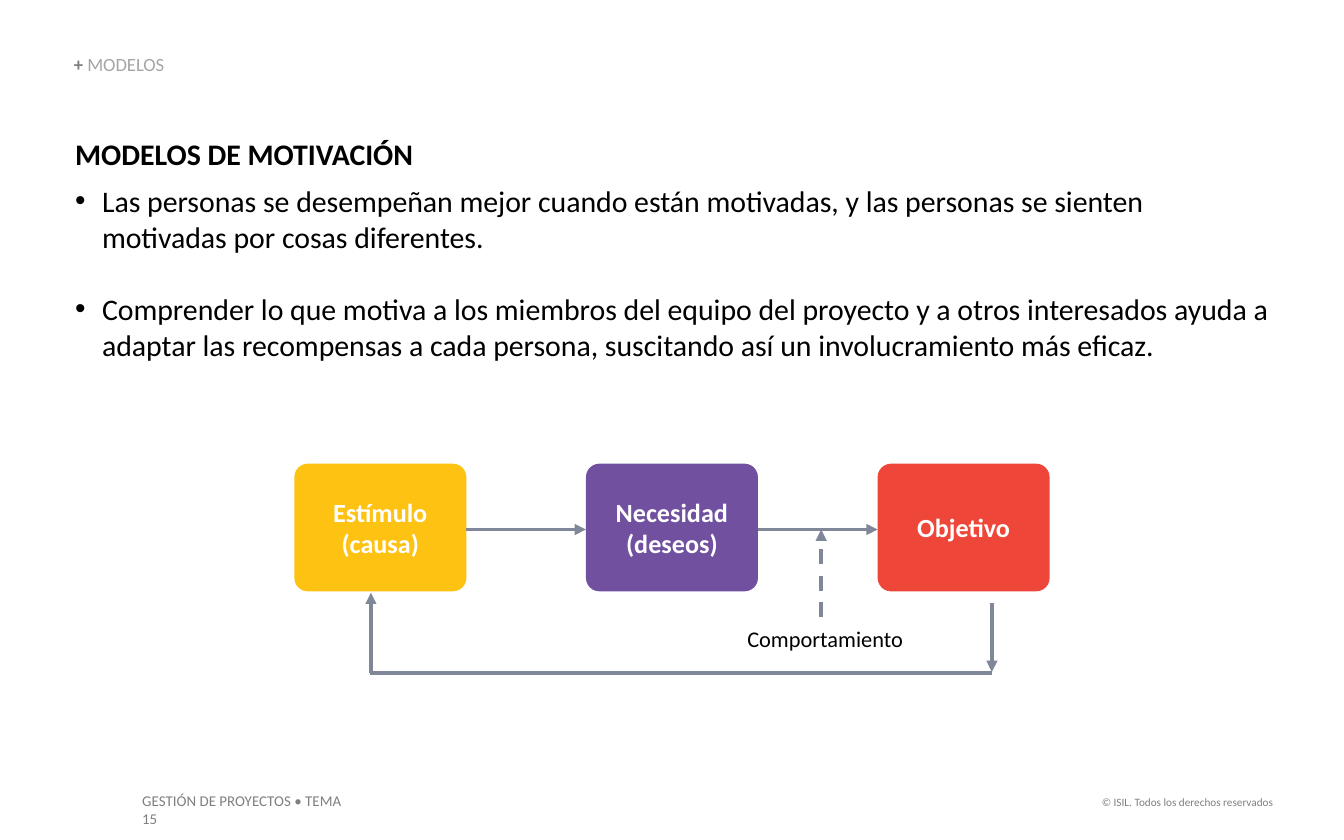
from dataclasses import dataclass

from lxml.etree import SubElement
from pptx import Presentation
from pptx.dml.color import RGBColor
from pptx.enum.dml import MSO_LINE
from pptx.enum.shapes import MSO_CONNECTOR, MSO_SHAPE
from pptx.enum.text import MSO_ANCHOR, PP_ALIGN
from pptx.oxml.ns import qn
from pptx.util import Inches, Pt


@dataclass(frozen=True)
class Theme:
    font: str = "Calibri"
    black: str = "000000"
    white: str = "FFFFFF"
    gray: str = "7F7F7F"
    light_gray: str = "A5A5A5"
    arrow: str = "808799"
    yellow: str = "FDC212"
    purple: str = "7150A0"
    red: str = "EE4639"
    body: float = 16
    node: float = 14
    label: float = 12
    section: float = 10
    footer: float = 8
    copyright: float = 6
    line: float = 2


class SlideBuilder:
    def __init__(self, slide, theme):
        self.shapes = slide.shapes
        self.theme = theme

    def span(self, para, text, size, color, bold=False):
        span = para.add_run()
        span.text = text
        span.font.name = self.theme.font
        span.font.size = Pt(size)
        span.font.bold = bold
        span.font.color.rgb = RGBColor.from_string(color)

    def frame(self, box, margins=(0, 0), anchor=MSO_ANCHOR.TOP):
        frame = box.text_frame
        frame.word_wrap = True
        frame.vertical_anchor = anchor
        frame.margin_left = frame.margin_right = Inches(margins[0])
        frame.margin_top = frame.margin_bottom = Inches(margins[1])
        return frame

    def text(self, left, top, width, height, spans, align=PP_ALIGN.LEFT,
             margins=(0, 0), anchor=MSO_ANCHOR.TOP):
        """Add a text box whose first paragraph holds the given spans."""
        box = self.shapes.add_textbox(
            Inches(left), Inches(top), Inches(width), Inches(height))
        frame = self.frame(box, margins, anchor)
        para = frame.paragraphs[0]
        para.alignment = align
        for span in spans:
            self.span(para, *span)
        return frame

    def bullet(self, frame, text, space_before):
        para = frame.add_paragraph()
        para.space_before = Pt(space_before)
        properties = para._p.get_or_add_pPr()
        properties.set("marL", str(Inches(0.2)))
        properties.set("indent", str(Inches(-0.2)))
        SubElement(properties, qn("a:buFont"), typeface="Arial")
        SubElement(properties, qn("a:buChar"), char="•")
        self.span(para, text, self.theme.body, self.theme.black)

    def node(self, left, top, width, height, lines, color):
        box = self.shapes.add_shape(
            MSO_SHAPE.ROUNDED_RECTANGLE,
            Inches(left), Inches(top), Inches(width), Inches(height))
        box.adjustments[0] = 0.105
        box.shadow.inherit = False
        box.fill.solid()
        box.fill.fore_color.rgb = RGBColor.from_string(color)
        box.line.fill.background()
        frame = self.frame(box, anchor=MSO_ANCHOR.MIDDLE)
        for index, line in enumerate(lines):
            para = frame.add_paragraph() if index else frame.paragraphs[0]
            para.alignment = PP_ALIGN.CENTER
            self.span(para, line, self.theme.node, self.theme.white, True)

    def line(self, start, end, arrow=True, dashed=False):
        line = self.shapes.add_connector(
            MSO_CONNECTOR.STRAIGHT, *map(Inches, (*start, *end)))
        line.line.color.rgb = RGBColor.from_string(self.theme.arrow)
        line.line.width = Pt(self.theme.line)
        if dashed:
            line.line.dash_style = MSO_LINE.DASH
        if arrow:
            SubElement(line.line._get_or_add_ln(), qn("a:tailEnd"), type="triangle")
        SubElement(line._element.spPr, qn("a:effectLst"))


def main():
    theme = Theme()
    deck = Presentation()
    deck.slide_width, deck.slide_height = Inches(10), Inches(6.25)
    page = SlideBuilder(deck.slides.add_slide(deck.slide_layouts[6]), theme)

    # Footer
    page.text(7.91, 5.87, 1.66, 0.2,
              [("© ISIL. Todos los derechos reservados", theme.copyright, theme.gray)],
              PP_ALIGN.RIGHT, margins=(0.1, 0.05))
    page.text(0.96, 5.84, 1.8, 0.24,
              [("GESTIÓN DE PROYECTOS • TEMA 15", theme.footer, theme.gray)],
              margins=(0.1, 0.05))

    # Section label
    section = page.text(0.55, 0.41, 2.66, 0.15,
                        [("+ ", theme.section, theme.gray, True),
                         ("MODELOS", theme.section, theme.light_gray)],
                        anchor=MSO_ANCHOR.BOTTOM)
    section.paragraphs[0].line_spacing = 0.9

    # Heading and bullets
    body = page.text(0.56, 1.01, 8.93, 1.7,
                     [("MODELOS DE MOTIVACIÓN", theme.body, theme.black, True)])
    page.bullet(body, "Las personas se desempeñan mejor cuando están motivadas, "
                "y las personas se sienten motivadas por cosas diferentes.", 6)
    page.bullet(body, "Comprender lo que motiva a los miembros del equipo del proyecto "
                "y a otros interesados ayuda a adaptar las recompensas a cada persona, "
                "suscitando así un involucramiento más eficaz.", 19.5)

    # Motivation cycle: nodes joined by arrows
    left, top, width, height, pitch = 2.19, 3.45, 1.28, 0.95, 2.17
    middle = 3.94
    nodes = [(("Estímulo", "(causa)"), theme.yellow),
             (("Necesidad", "(deseos)"), theme.purple),
             (("Objetivo",), theme.red)]
    for index, (lines, color) in enumerate(nodes):
        x = left + index * pitch
        if index:
            page.line((x - pitch + width, middle), (x, middle))
        page.node(x, top, width, height, lines, color)

    # Return path from the goal to the stimulus
    start_x, end_x, base = 7.38, 2.76, 5.01
    page.line((start_x, 4.49), (start_x, base - 0.01))
    page.line((start_x, base), (end_x - 0.01, base), arrow=False)
    page.line((end_x, base), (end_x, top + height + 0.01))

    # Behaviour acting on the second arrow
    page.line((6.11, 4.59), (6.11, middle), dashed=True)
    page.text(5.34, 4.65, 1.6, 0.2,
              [("Comportamiento", theme.label, theme.black)], PP_ALIGN.CENTER)

    deck.save("out.pptx")


if __name__ == "__main__":
    main()
